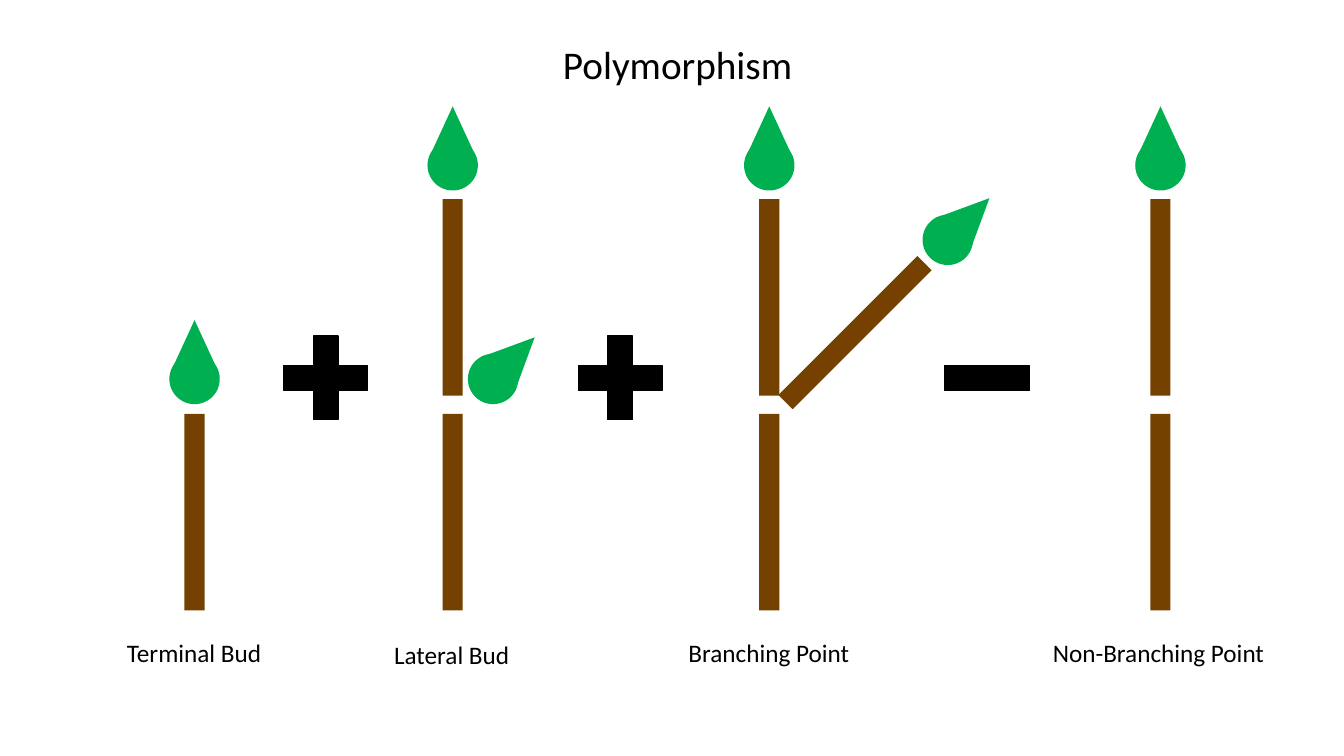
import math

import pptx
import pptx.dml.color
import pptx.enum.shapes
import pptx.enum.text
import pptx.util
from pptx.util import Inches

COLORS = {"bud": "00B050", "stem": "754100", "ink": "000000"}
SHAPES = pptx.enum.shapes.MSO_SHAPE
FONT = "Calibri"

BUD_SIZE = 0.5
TIP_WIDTH, TIP_HEIGHT, TIP_OFFSET = 0.47, 0.51, 0.33
STEM_WIDTH, STEM_LENGTH = 0.2, 1.95
LOWER_STEM_Y, UPPER_STEM_Y = 5.08, 2.95
LOW_BUD_Y, HIGH_BUD_Y = 3.76, 1.64
OPERATOR_Y = 3.75
BRANCH_ANGLE = 45

# Name, centre x, label left, label top, label width
PLANTS = [
    ("Terminal Bud", 1.93, 1.15, 6.27, 1.55),
    ("Lateral Bud", 4.49, 3.8, 6.29, 1.36),
    ("Branching Point", 7.63, 6.72, 6.27, 1.81),
    ("Non-Branching Point", 11.51, 10.34, 6.27, 2.3),
]


def color(name):
    return pptx.dml.color.RGBColor.from_string(COLORS[name])


def paint(shape, name):
    shape.shadow.inherit = False
    shape.fill.solid()
    shape.fill.fore_color.rgb = color(name)
    shape.line.fill.background()


def add_centred(shapes, kind, x, y, width, height, name, angle=0):
    """Add a filled preset shape around the centre point (x, y)."""
    shape = shapes.add_shape(kind, Inches(x - width / 2), Inches(y - height / 2),
                             Inches(width), Inches(height))
    paint(shape, name)
    shape.rotation = angle
    return shape


def add_bud(shapes, x, y, angle=0):
    """Add a round bud at (x, y) with a tip pointing along the angle."""
    add_centred(shapes, SHAPES.OVAL, x, y, BUD_SIZE, BUD_SIZE, "bud", angle)
    tip_x = x + TIP_OFFSET * math.sin(math.radians(angle))
    tip_y = y - TIP_OFFSET * math.cos(math.radians(angle))
    left, right = tip_x - TIP_WIDTH / 2, tip_x + TIP_WIDTH / 2
    top, bottom = tip_y - TIP_HEIGHT / 2, tip_y + TIP_HEIGHT / 2
    builder = shapes.build_freeform(Inches(left), Inches(bottom))
    builder.add_line_segments([(Inches(tip_x), Inches(top)),
                               (Inches(right), Inches(bottom))], close=True)
    tip = builder.convert_to_shape()
    paint(tip, "bud")
    tip.rotation = angle


def add_stem(shapes, x, y, angle=0):
    add_centred(shapes, SHAPES.RECTANGLE, x, y, STEM_WIDTH, STEM_LENGTH, "stem", angle)


def add_plant(slide, name, x):
    shapes = slide.shapes.add_group_shape().shapes
    add_stem(shapes, x, LOWER_STEM_Y)
    if name == "Terminal Bud":
        add_bud(shapes, x, LOW_BUD_Y)
        return
    add_bud(shapes, x, HIGH_BUD_Y)
    add_stem(shapes, x, UPPER_STEM_Y)
    if name == "Lateral Bud":
        add_bud(shapes, x + 0.4, LOW_BUD_Y, BRANCH_ANGLE)
    elif name == "Branching Point":
        add_stem(shapes, x + 0.85, 3.3, BRANCH_ANGLE)
        add_bud(shapes, x + 1.77, 2.38, BRANCH_ANGLE)


def add_operator(slide, kind, x, width, height):
    operator = add_centred(slide.shapes, kind, x, OPERATOR_Y, width, height, "ink")
    operator.line.color.rgb = color("ink")
    operator.line.width = pptx.util.Pt(1)
    if kind == SHAPES.CROSS:
        operator.adjustments[0] = 0.352


def format_text(box, text, size):
    frame = box.text_frame
    frame.text = text
    para = frame.paragraphs[0]
    para.alignment = pptx.enum.text.PP_ALIGN.CENTER
    font = para.runs[0].font
    font.name = FONT
    font.size = pptx.util.Pt(size)
    font.color.rgb = color("ink")


def add_label(slide, text, left, top, width):
    box = slide.shapes.add_textbox(Inches(left), Inches(top),
                                   Inches(width), Inches(0.4))
    box.text_frame.word_wrap = False
    format_text(box, text, 18)


def set_title(slide, text):
    title = slide.shapes.title
    title.left, title.top = Inches(5.03), Inches(0.35)
    title.width, title.height = Inches(3.38), Inches(0.57)
    format_text(title, text, 28)


def main():
    deck = pptx.Presentation()
    deck.slide_width, deck.slide_height = Inches(13.33), Inches(7.5)
    page = deck.slides.add_slide(deck.slide_layouts[5])
    set_title(page, "Polymorphism")
    for name, x, label_left, label_top, label_width in PLANTS:
        add_plant(page, name, x)
        add_label(page, name, label_left, label_top, label_width)
    for x in (3.23, 6.15):
        add_operator(page, SHAPES.CROSS, x, 0.83, 0.83)
    add_operator(page, SHAPES.RECTANGLE, 9.79, 0.84, 0.25)
    deck.save("out.pptx")


if __name__ == "__main__":
    main()
